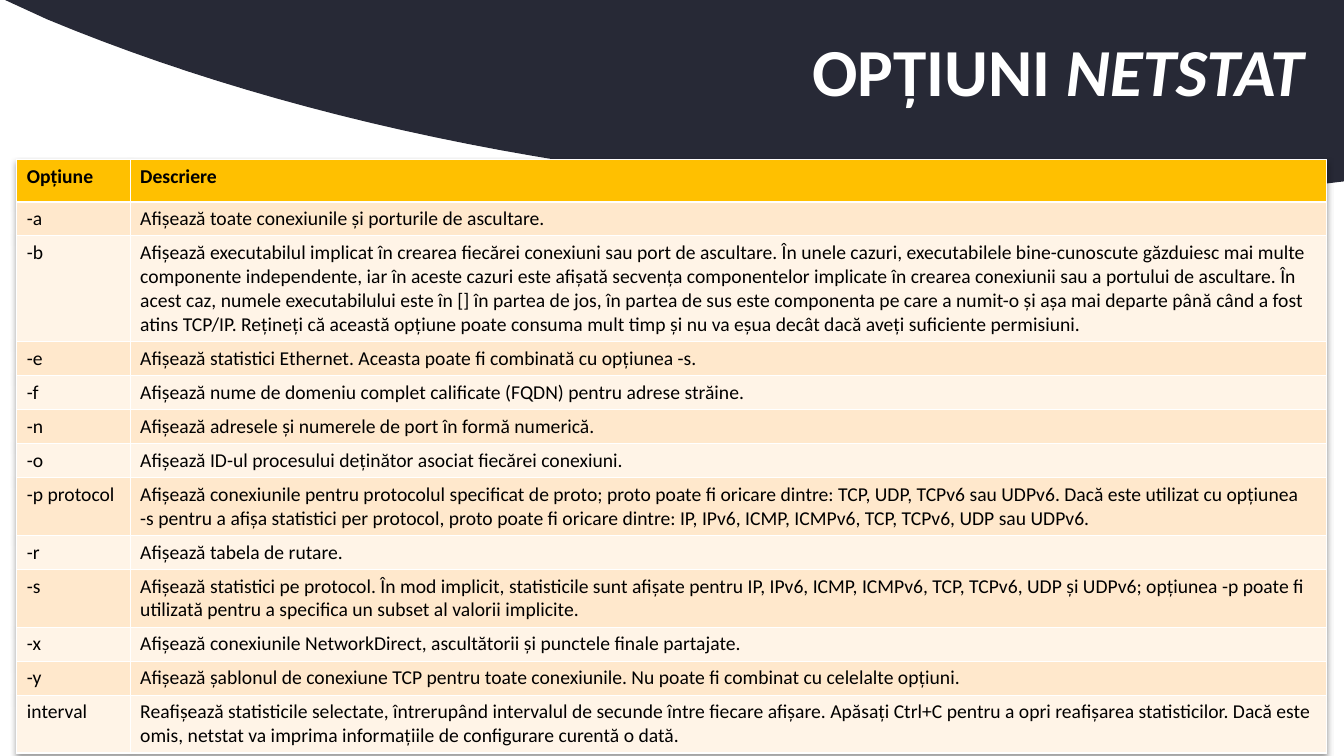
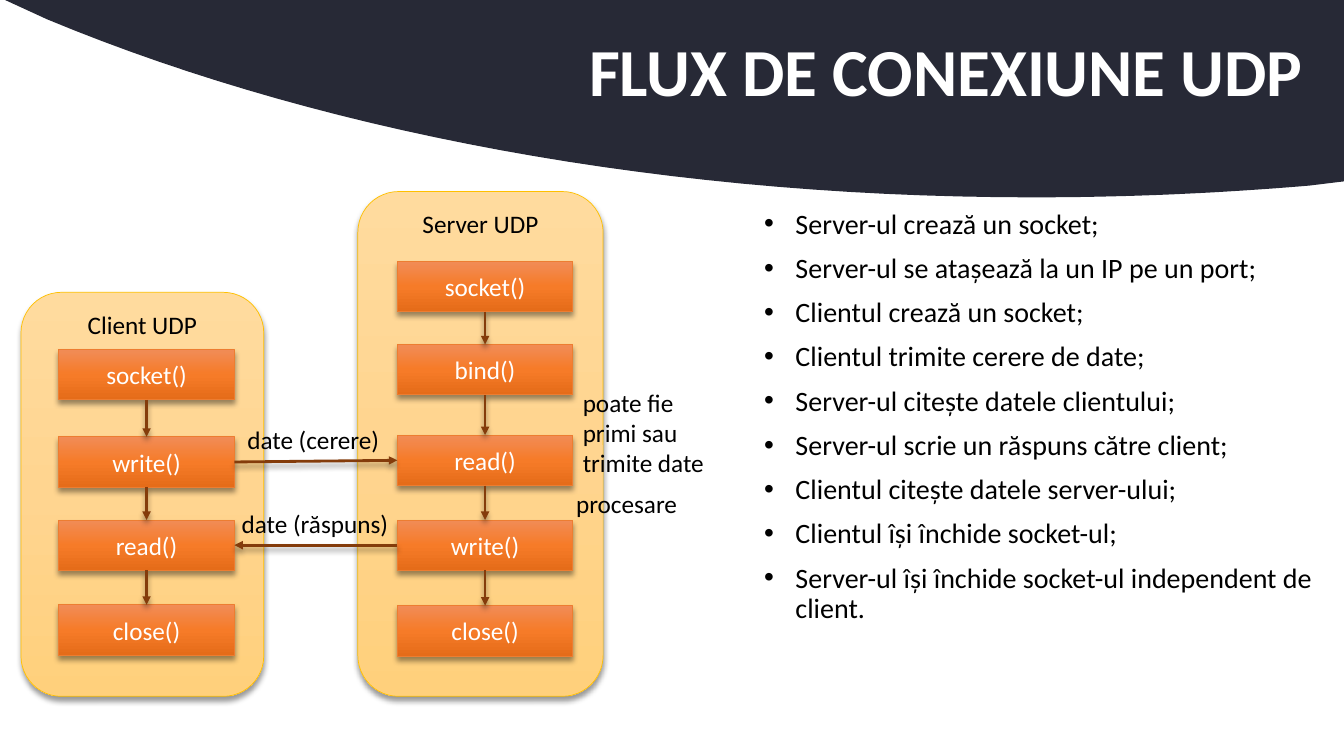
import copy
import itertools

import pptx
import pptx.dml.color
import pptx.enum.shapes
import pptx.enum.text
import pptx.oxml
import pptx.oxml.ns
import pptx.util

SHAPE = pptx.enum.shapes.MSO_SHAPE
ALIGN = pptx.enum.text.PP_ALIGN
ANCHOR = pptx.enum.text.MSO_ANCHOR
FONT = "Calibri"
NAVY, WHITE, BLACK, GOLD, BROWN = "272936", "FFFFFF", "000000", "FFC000", "843C0B"
STRIPES = ("FFE8CC", "FFF4E7")
LANE_STYLE = (("FFDB9E", "FFD590", "FFD07C"), GOLD)
CALL_STYLE = (("F18C57", "F67B28", "E56C19"), "ED7D31")
COLUMNS, ROWS = 160, 90
TOP, LEFT, BOTTOM, RIGHT = range(4)

OPTIONS = [
    ("-a", "Afișează toate conexiunile și porturile de ascultare.", 1),
    ("-b", "Afișează executabilul implicat în crearea fiecărei conexiuni sau port de ascultare. "
           "În unele cazuri, executabilele bine-cunoscute găzduiesc mai multe componente independente, "
           "iar în aceste cazuri este afișată secvența componentelor implicate în crearea conexiunii "
           "sau a portului de ascultare. În acest caz, numele executabilului este în [] în partea de jos, "
           "în partea de sus este componenta pe care a numit-o și așa mai departe până când a fost atins "
           "TCP/IP. Rețineți că această opțiune poate consuma mult timp și nu va eșua decât dacă aveți "
           "suficiente permisiuni.", 4),
    ("-e", "Afișează statistici Ethernet. Aceasta poate fi combinată cu opțiunea -s.", 1),
    ("-f", "Afișează nume de domeniu complet calificate (FQDN) pentru adrese străine.", 1),
    ("-n", "Afișează adresele și numerele de port în formă numerică.", 1),
    ("-o", "Afișează ID-ul procesului deținător asociat fiecărei conexiuni.", 1),
    ("-p protocol", "Afișează conexiunile pentru protocolul specificat de proto; proto poate fi oricare "
                    "dintre: TCP, UDP, TCPv6 sau UDPv6. Dacă este utilizat cu opțiunea -s pentru a afișa "
                    "statistici per protocol, proto poate fi oricare dintre: IP, IPv6, ICMP, ICMPv6, TCP, "
                    "TCPv6, UDP sau UDPv6.", 2),
    ("-r", "Afișează tabela de rutare.", 1),
    ("-s", "Afișează statistici pe protocol. În mod implicit, statisticile sunt afișate pentru IP, IPv6, "
           "ICMP, ICMPv6, TCP, TCPv6, UDP și UDPv6; opțiunea -p poate fi utilizată pentru a specifica un "
           "subset al valorii implicite.", 2),
    ("-x", "Afișează conexiunile NetworkDirect, ascultătorii și punctele finale partajate.", 1),
    ("-y", "Afișează șablonul de conexiune TCP pentru toate conexiunile. "
           "Nu poate fi combinat cu celelalte opțiuni.", 1),
    ("interval", "Reafișează statisticile selectate, întrerupând intervalul de secunde între fiecare "
                 "afișare. Apăsați Ctrl+C pentru a opri reafișarea statisticilor. Dacă este omis, netstat "
                 "va imprima informațiile de configurare curentă o dată.", 2),
]
STEPS = [
    "Server-ul crează un socket;",
    "Server-ul se atașează la un IP pe un port;",
    "Clientul crează un socket;",
    "Clientul trimite cerere de date;",
    "Server-ul citește datele clientului;",
    "Server-ul scrie un răspuns către client;",
    "Clientul citește datele server-ului;",
    "Clientul își închide socket-ul;",
    "Server-ul își închide socket-ul independent de client.",
]


def grid(*cells):
    """Convert grid units (a 160 by 90 slide) to lengths."""
    return [pptx.util.Inches(c / 12) for c in cells]


def rgb(colour):
    """Return a colour from its hex string."""
    return pptx.dml.color.RGBColor.from_string(colour)


def element(xml):
    """Parse a drawing element."""
    tag, rest = xml[1:].split(" ", 1)
    return pptx.oxml.parse_xml(f"<{tag} {pptx.oxml.ns.nsdecls('a')} {rest}")


def shadow():
    """Return the soft shadow below diagram parts and the table."""
    return element('<a:effectLst ><a:outerShdw blurRad="50800" dist="38100" dir="5400000" '
                   'algn="ctr" rotWithShape="0"><a:srgbClr val="000000"><a:alpha val="40000"/>'
                   '</a:srgbClr></a:outerShdw></a:effectLst>')


def add_run(p, text, size, colour=BLACK, bold=False, italic=False):
    """Add a formatted run to a paragraph."""
    r = p.add_run()
    r.text = text
    r.font.name, r.font.size = FONT, pptx.util.Pt(size)
    r.font.bold, r.font.italic = bold, italic
    r.font.color.rgb = rgb(colour)


def paragraphs(tf, count):
    """Yield the first paragraph of a frame, then new ones."""
    yield tf.paragraphs[0]
    for _ in range(count - 1):
        yield tf.add_paragraph()


def curve(points, steps=30):
    """Return points along a cubic curve."""
    weights = (1, 3, 3, 1)
    return [tuple(sum(w * (1 - t) ** (3 - k) * t ** k * pt[axis]
                      for k, (w, pt) in enumerate(zip(weights, points)))
                  for axis in (0, 1))
            for t in (i / steps for i in range(1, steps + 1))]


def add_band(s):
    """Place the curved title band on the layout of a slide."""
    edge, crest = (155.9, 22.1), (123.1, 23.5)
    outline = [(COLUMNS, 0), (COLUMNS, 21.6), edge,
               *curve([edge, (145.2, 23), (134.3, 23.5), crest]),
               *curve([crest, (78.5, 23.5), (37.6, 15.6), (5.6, 2.3)])]
    builder = s.shapes.build_freeform(*grid(0.6, 0))
    builder.add_line_segments([grid(*pt) for pt in outline], close=True)
    band = builder.convert_to_shape()
    band.shadow.inherit = False
    band.fill.solid()
    band.fill.fore_color.rgb = rgb(NAVY)
    band.line.fill.background()
    s.slide_layout.shapes._spTree.insert(2, band._element)


def add_slide(prs, *title):
    """Add a slide whose title is made of (text, italic) runs."""
    s = prs.slides.add_slide(prs.slide_layouts[5])
    sp = s.shapes.title
    sp.left, sp.top, sp.width, sp.height = grid(11, 0.2, 149, 17.4)
    tf = sp.text_frame
    tf.auto_size = pptx.enum.text.MSO_AUTO_SIZE.NONE
    tf.vertical_anchor = ANCHOR.MIDDLE
    tf.margin_right = pptx.util.Inches(0.4)
    p = tf.paragraphs[0]
    p.alignment, p.line_spacing = ALIGN.RIGHT, 0.9
    for text, italic in title:
        add_run(p, text, 48, WHITE, True, italic)
    return s


def add_options(s, left, top, widths):
    """Add the table of options."""
    rows = [("Opțiune", "Descriere", None), *OPTIONS]
    heights = [0.42 if n is None else 0.09 + 0.24 * n for *_, n in rows]
    frame = s.shapes.add_table(len(rows), len(widths), *grid(left, top, sum(widths), 12 * sum(heights)))
    table = frame.table
    table._tbl.tblPr.insert(0, shadow())
    for column, width in zip(table.columns, grid(*widths)):
        column.width = width
    for i, (row, height) in enumerate(zip(rows, heights)):
        table.rows[i].height = pptx.util.Inches(height)
        for cell, text in zip(table.rows[i].cells, row):
            cell.fill.solid()
            cell.fill.fore_color.rgb = rgb(STRIPES[(i - 1) % 2] if i else GOLD)
            add_run(cell.text_frame.paragraphs[0], text, 14, bold=i == 0)


def add_text(s, box, lines, size=18, align=ALIGN.LEFT):
    """Add a wrapped text box, one paragraph a line."""
    tf = s.shapes.add_textbox(*grid(*box)).text_frame
    tf.word_wrap = True
    for p, line in zip(paragraphs(tf, len(lines)), lines):
        p.alignment = align
        add_run(p, line, size)
    return tf


def add_bullets(s, box, lines):
    """Add a bulleted list."""
    for i, p in enumerate(add_text(s, box, lines, 20).paragraphs):
        pPr = p._p.get_or_add_pPr()
        indent = pptx.util.Inches(0.31)
        pPr.set("marL", str(indent))
        pPr.set("indent", str(-indent))
        pPr.append(element('<a:buFont typeface="Arial"/>'))
        pPr.append(element('<a:buChar char="•"/>'))
        p.line_spacing = 0.9
        if i:
            p.space_before = pptx.util.Pt(10)


def add_box(s, kind, box, text, style, colour, anchor):
    """Add a gradient shape with a label."""
    stops, line = style
    sp = s.shapes.add_shape(kind, *grid(*box))
    sp.fill.gradient()
    sp.fill.gradient_angle = 270
    stop_list = sp._element.spPr.find(".//" + pptx.oxml.ns.qn("a:gsLst"))
    stop_list.insert(1, copy.deepcopy(stop_list[0]))
    for i, (stop, stop_colour) in enumerate(zip(sp.fill.gradient_stops, stops)):
        stop.position, stop.color.rgb = i / 2, rgb(stop_colour)
    sp.line.color.rgb, sp.line.width = rgb(line), pptx.util.Pt(0.5)
    sp._element.spPr.append(shadow())
    tf = sp.text_frame
    tf.vertical_anchor = anchor
    p = tf.paragraphs[0]
    p.alignment = ALIGN.CENTER
    add_run(p, text, 18, colour)
    return sp


def add_arrow(s, start, start_site, end, end_site):
    """Join two boxes with an arrow."""
    c = s.shapes.add_connector(pptx.enum.shapes.MSO_CONNECTOR.STRAIGHT, 0, 0, 0, 0)
    c.begin_connect(start, start_site)
    c.end_connect(end, end_site)
    c.line.color.rgb, c.line.width = rgb(BROWN), pptx.util.Pt(2)
    c.line._get_or_add_ln().append(element('<a:tailEnd type="triangle"/>'))
    c._element.spPr.append(shadow())


def add_calls(s, left, calls):
    """Add a column of calls joined by arrows, and return them by name."""
    boxes = {name: add_box(s, SHAPE.RECTANGLE, (left, top, 20.9, 6), name, CALL_STYLE, WHITE, ANCHOR.MIDDLE)
             for name, top in calls}
    for upper, lower in itertools.pairwise(boxes.values()):
        add_arrow(s, upper, BOTTOM, lower, TOP)
    return boxes


def add_flow(s):
    """Add the diagram of client and server."""
    for text, box in (("Server UDP", (42.6, 22.8, 29.2, 60.1)),
                      ("Client UDP", (2.5, 34.8, 28.9, 48.1))):
        add_box(s, SHAPE.ROUNDED_RECTANGLE, box, text, LANE_STYLE, BLACK, ANCHOR.TOP)
    server = add_calls(s, 47.3, [("socket()", 31.1), ("bind()", 41), ("read()", 51.8),
                                 ("write()", 61.9), ("close()", 72.1)])
    client = add_calls(s, 7, [("socket()", 41.6), ("write()", 52), ("read()", 61.9), ("close()", 72)])
    add_arrow(s, client["write()"], RIGHT, server["read()"], LEFT)
    add_arrow(s, server["write()"], LEFT, client["read()"], RIGHT)
    add_text(s, (68.2, 45.5, 18.7, 12.1), ["poate fie", "primi sau", "trimite date"])
    for text, left, top in (("procesare", 62.5, 57.5), ("date (cerere)", 25.2, 49.9),
                            ("date (răspuns)", 25.4, 59.9)):
        add_text(s, (left, top, 24.2, 4.8), [text], align=ALIGN.CENTER)


def main():
    """Build and save the presentation."""
    prs = pptx.Presentation()
    prs.slide_width, prs.slide_height = grid(COLUMNS, ROWS)
    s = add_slide(prs, ("OPȚIUNI ", False), ("NETSTAT", True))
    add_band(s)
    add_options(s, 2, 19, (13.5, 142.4))
    s = add_slide(prs, ("FLUX DE CONEXIUNE UDP", False))
    add_bullets(s, (89.8, 24.4, 70.2, 65.4), STEPS)
    add_flow(s)
    prs.save("out.pptx")


if __name__ == "__main__":
    main()
